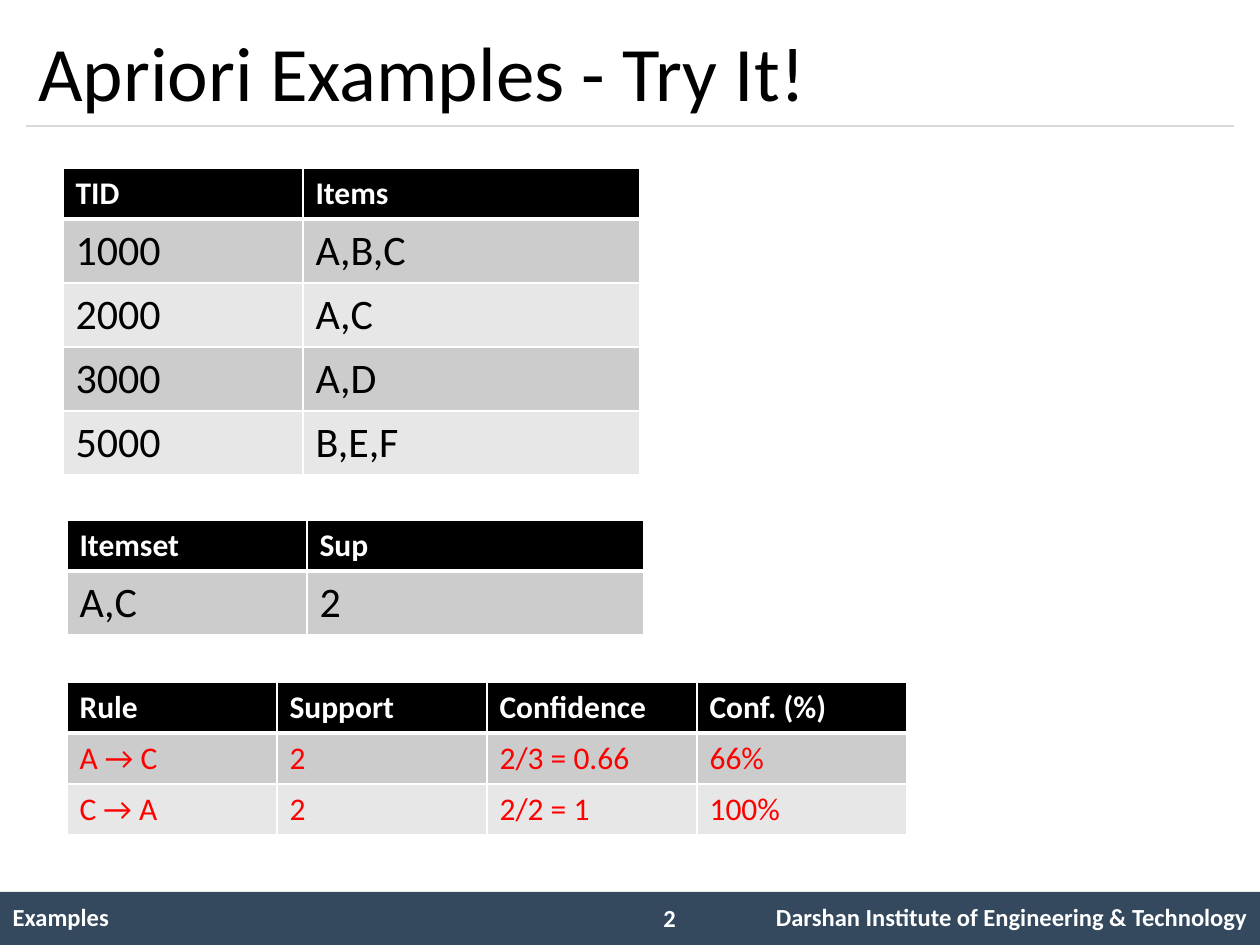
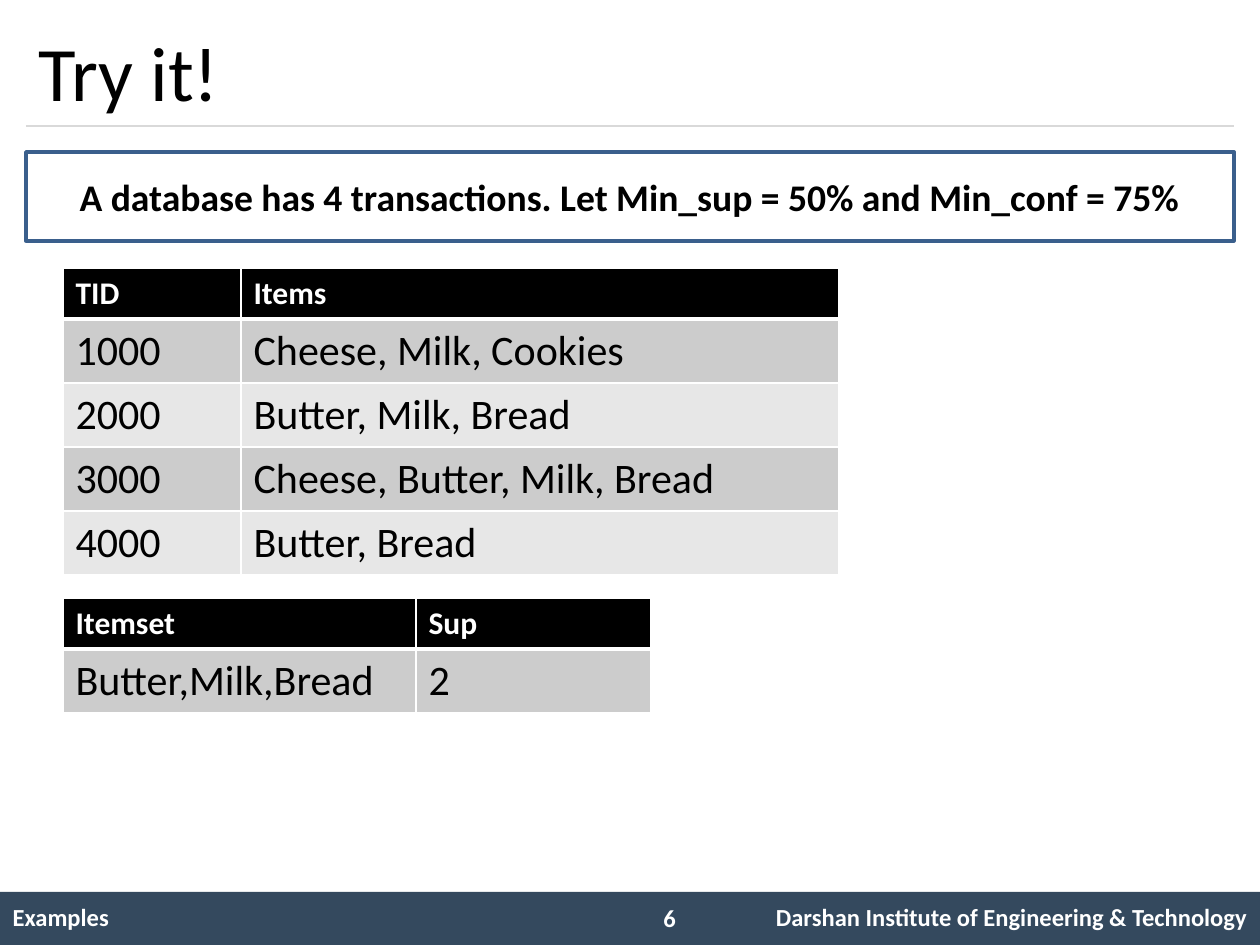
"""Build two slides of Apriori exercises with shared title, rule and footer."""
from lxml import etree
from pptx import Presentation
from pptx.dml.color import RGBColor
from pptx.enum.shapes import MSO_CONNECTOR, MSO_SHAPE
from pptx.enum.text import MSO_ANCHOR, PP_ALIGN
from pptx.oxml.ns import qn
from pptx.util import Pt

STRAIGHT = MSO_CONNECTOR.STRAIGHT
RECTANGLE = MSO_SHAPE.RECTANGLE
MIDDLE, TOP = MSO_ANCHOR.MIDDLE, MSO_ANCHOR.TOP
LEFT, CENTER, RIGHT = PP_ALIGN.LEFT, PP_ALIGN.CENTER, PP_ALIGN.RIGHT

FONT = "Calibri"
BLACK = RGBColor(0x00, 0x00, 0x00)
WHITE = RGBColor(0xFF, 0xFF, 0xFF)
RED = RGBColor(0xFF, 0x00, 0x00)
NAVY = RGBColor(0x34, 0x49, 0x5E)
BLUE = RGBColor(0x3A, 0x5F, 0x8C)
RULE_GREY = RGBColor(0xD9, 0xD9, 0xD9)
BANDS = RGBColor(0xCC, 0xCC, 0xCC), RGBColor(0xE7, 0xE7, 0xE7)

EMU_PER_PX = 914400 / 126
PAGE_WIDTH, PAGE_HEIGHT = 1260, 945
MARGIN = 26
CONTENT_WIDTH = PAGE_WIDTH - 2 * MARGIN
TITLE_TOP, RULE_TOP = 15, 126
FOOTER_TOP = 892
FOOTER_HEIGHT = PAGE_HEIGHT - FOOTER_TOP
FOOTER_COLUMNS = (640, 84, 536)
FOOTER_TEXTS = ("Examples", "", "Darshan Institute of Engineering & Technology")
CALLOUT_TOP, CALLOUT_HEIGHT = 152, 89
HEADER_ROW = 51
BODY_ROWS = {24: 64, 18: 51}
NO_STYLE = "{2D5ABB26-0587-4C30-8999-92F81FD0307C}"

SLIDES = [
    {
        "title": "Apriori Examples - Try It!",
        "number": "2",
        "tables": [
            {"at": (63, 168), "columns": (240, 337), "size": 24, "color": BLACK,
             "rows": [("TID", "Items"), ("1000", "A,B,C"), ("2000", "A,C"),
                      ("3000", "A,D"), ("5000", "B,E,F")]},
            {"at": (67, 520), "columns": (240, 337), "size": 24, "color": BLACK,
             "rows": [("Itemset", "Sup"), ("A,C", "2")]},
            {"at": (67, 682), "columns": (210,) * 4, "size": 18, "color": RED,
             "rows": [("Rule", "Support", "Confidence", "Conf. (%)"),
                      ("A → C", "2", "2/3 = 0.66", "66%"),
                      ("C → A", "2", "2/2 = 1", "100%")]},
        ],
    },
    {
        "title": "Try it!",
        "number": "6",
        "callout": "A database has 4 transactions. Let Min_sup = 50% and Min_conf = 75%",
        "tables": [
            {"at": (63, 268), "columns": (178, 598), "size": 24, "color": BLACK,
             "rows": [("TID", "Items"), ("1000", "Cheese, Milk, Cookies"),
                      ("2000", "Butter, Milk, Bread"),
                      ("3000", "Cheese, Butter, Milk, Bread"),
                      ("4000", "Butter, Bread")]},
            {"at": (63, 598), "columns": (353, 235), "size": 24, "color": BLACK,
             "rows": [("Itemset", "Sup"), ("Butter,Milk,Bread", "2")]},
        ],
    },
]


def px(*lengths):
    return [round(length * EMU_PER_PX) for length in lengths]


def write(frame, text, size, color, bold=False, align=LEFT):
    para = frame.paragraphs[0]
    para.alignment = align
    span = para.add_run()
    span.text = text
    span.font.name = FONT
    span.font.size = Pt(size)
    span.font.bold = bold
    span.font.color.rgb = color


def add_label(page, at, text, size, color, bold=False, anchor=TOP):
    frame = page.shapes.add_textbox(*px(*at)).text_frame
    frame.word_wrap = True
    frame.vertical_anchor = anchor
    write(frame, text, size, color, bold)


def add_rectangle(page, at, fill):
    box = page.shapes.add_shape(RECTANGLE, *px(*at))
    box.shadow.inherit = False
    box.fill.solid()
    box.fill.fore_color.rgb = fill
    box.line.fill.background()
    return box


def add_plain_table(page, at, columns, heights):
    frame = page.shapes.add_table(
        len(heights), len(columns), *px(*at, sum(columns), sum(heights)))
    table = frame.table
    table.first_row = table.horz_banding = False
    table._tbl.tblPr.find(qn("a:tableStyleId")).text = NO_STYLE
    for column, width in zip(table.columns, px(*columns)):
        column.width = width
    for row, height in zip(table.rows, px(*heights)):
        row.height = height
    return table


def set_borders(cell, top, bottom):
    properties = cell._tc.get_or_add_tcPr()
    for side, points in (("L", 1), ("R", 1), ("T", top), ("B", bottom)):
        line = etree.SubElement(properties, qn(f"a:ln{side}"), w=str(Pt(points)))
        fill = etree.SubElement(line, qn("a:solidFill"))
        etree.SubElement(fill, qn("a:srgbClr"), val=str(WHITE))


def add_data_table(page, at, columns, size, color, rows):
    heights = [HEADER_ROW] + [BODY_ROWS[size]] * (len(rows) - 1)
    table = add_plain_table(page, at, columns, heights)
    for row_index, texts in enumerate(rows):
        header = row_index == 0
        for column_index, text in enumerate(texts):
            cell = table.cell(row_index, column_index)
            set_borders(cell, 3 if row_index == 1 else 1, 3 if header else 1)
            cell.fill.solid()
            cell.fill.fore_color.rgb = BLACK if header else BANDS[(row_index - 1) % 2]
            if header:
                write(cell.text_frame, text, 18, WHITE, bold=True)
            else:
                write(cell.text_frame, text, size, color)


def add_frame(page, title, number):
    add_rectangle(page, (0, FOOTER_TOP, PAGE_WIDTH, FOOTER_HEIGHT), NAVY)
    rule = page.shapes.add_connector(
        STRAIGHT, *px(MARGIN, RULE_TOP, PAGE_WIDTH - MARGIN, RULE_TOP))
    rule.line.color.rgb = RULE_GREY
    rule.line.width = Pt(0.75)
    etree.SubElement(rule._element.spPr, qn("a:effectLst"))
    footer = add_plain_table(page, (0, FOOTER_TOP), FOOTER_COLUMNS, [FOOTER_HEIGHT])
    for cell, text, align in zip(footer.rows[0].cells, FOOTER_TEXTS, (LEFT, LEFT, RIGHT)):
        cell.vertical_anchor = MIDDLE
        if text:
            write(cell.text_frame, text, 14, WHITE, True, align)
    add_label(page, (651, 897, 73, 43), number, 14, WHITE, bold=True)
    add_label(page, (MARGIN, TITLE_TOP, CONTENT_WIDTH, RULE_TOP - TITLE_TOP),
              title, 44, BLACK, anchor=MIDDLE)


def add_callout(page, text):
    box = add_rectangle(page, (MARGIN, CALLOUT_TOP, CONTENT_WIDTH, CALLOUT_HEIGHT), WHITE)
    box.line.color.rgb = BLUE
    box.line.width = Pt(2)
    box.text_frame.word_wrap = True
    box.text_frame.vertical_anchor = MIDDLE
    write(box.text_frame, text, 21.5, BLACK, True, CENTER)


def main():
    deck = Presentation()
    deck.slide_width, deck.slide_height = px(PAGE_WIDTH, PAGE_HEIGHT)
    for content in SLIDES:
        page = deck.slides.add_slide(deck.slide_layouts[6])
        add_frame(page, content["title"], content["number"])
        if "callout" in content:
            add_callout(page, content["callout"])
        for table in content["tables"]:
            add_data_table(page, **table)
    deck.save("out.pptx")


if __name__ == "__main__":
    main()
